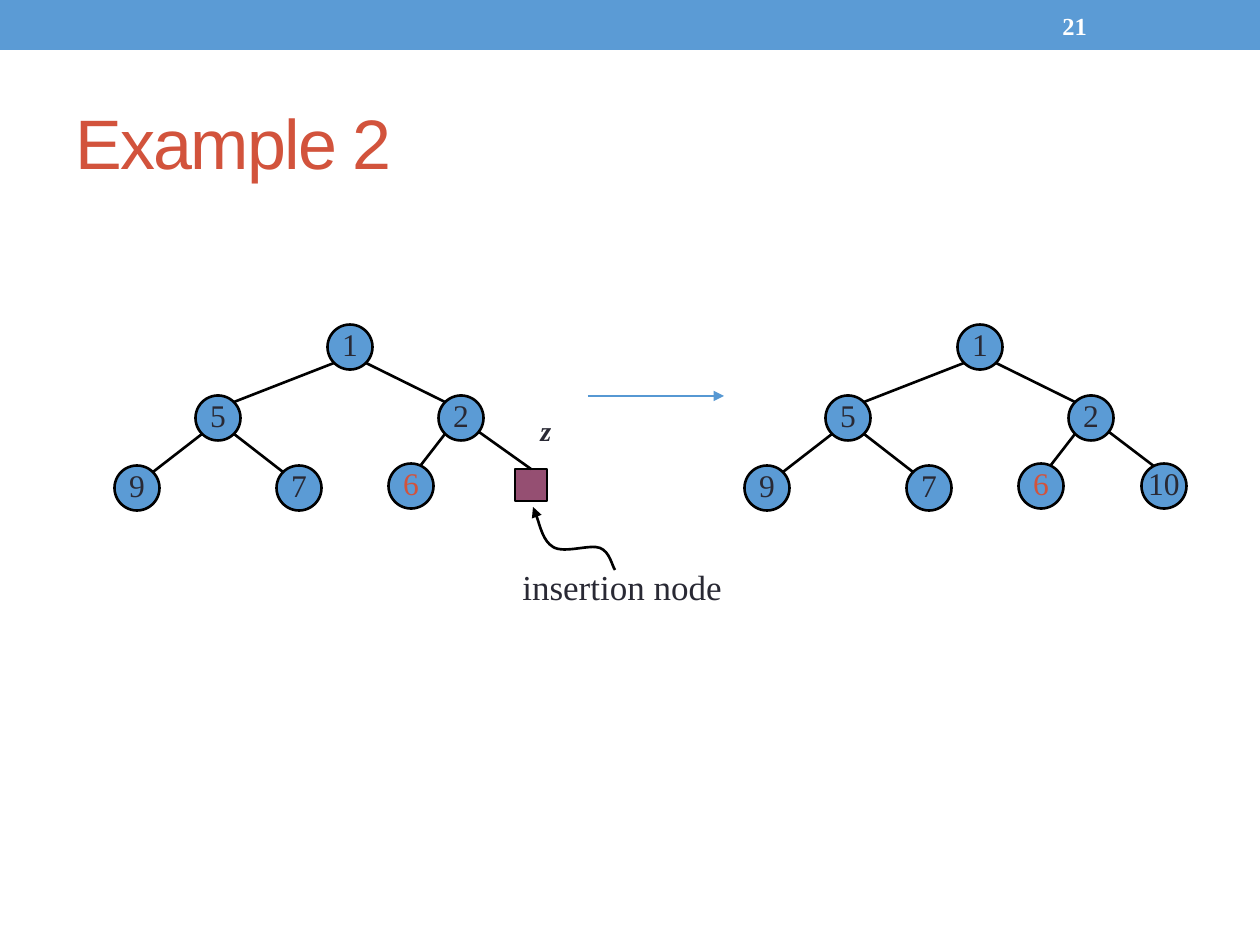
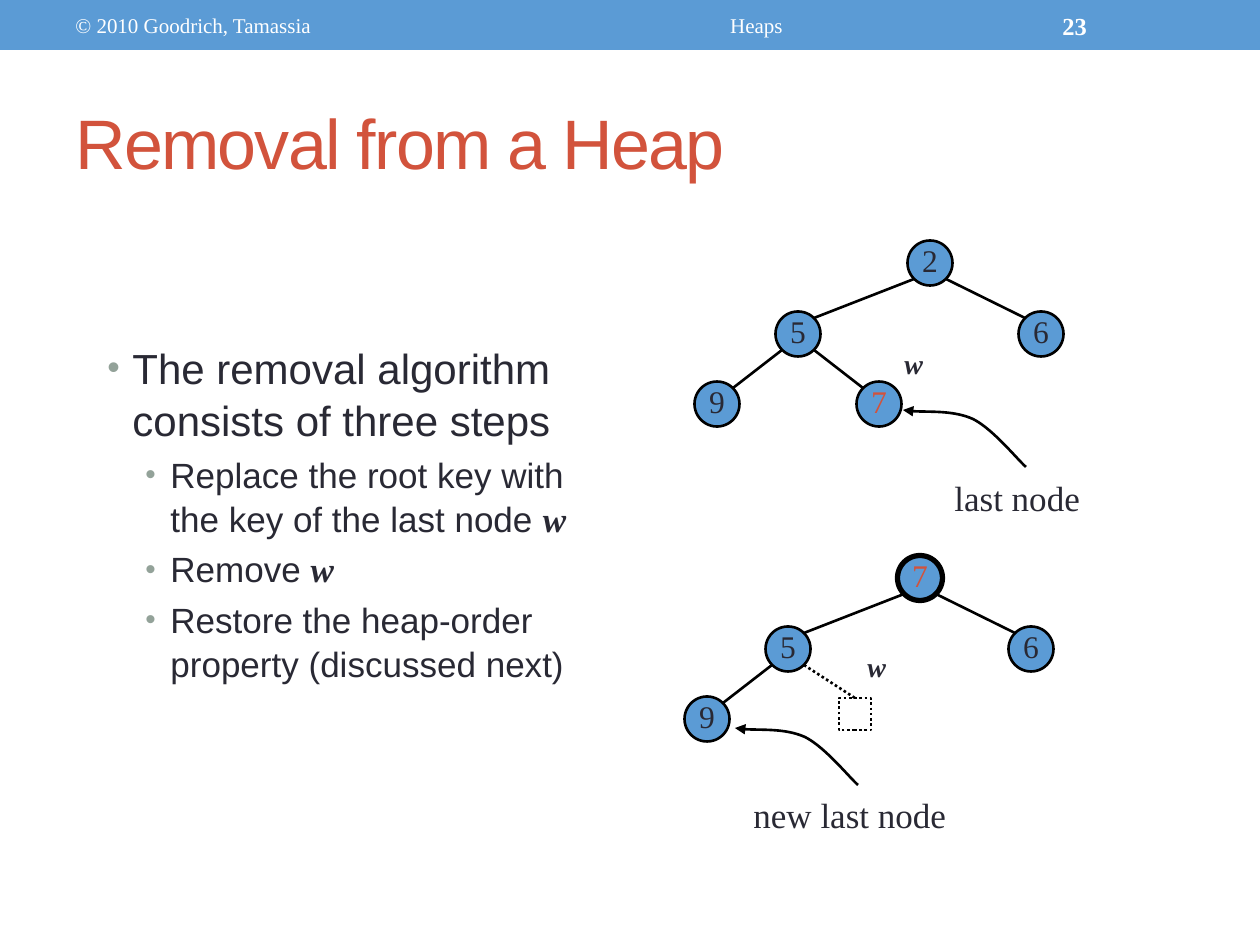
from dataclasses import dataclass

from lxml.etree import SubElement
from pptx import Presentation
from pptx.dml.color import RGBColor
from pptx.enum.dml import MSO_LINE
from pptx.enum.shapes import MSO_CONNECTOR, MSO_SHAPE
from pptx.enum.text import MSO_ANCHOR as Anchor, PP_ALIGN as Align
from pptx.oxml.ns import qn
from pptx.util import Emu, Pt

EMU_PER_PX = 914400 / 126


@dataclass(frozen=True)
class TextStyle:
    """Font, size, colour and weight of one kind of text."""

    size: int
    color: str
    font: str = "Times New Roman"
    bold: bool = False
    italic: bool = False
    tracking: int = 0


class Theme:
    """Colours, line widths and text styles shared by both slides."""

    BLUE, ARROW_BLUE, PLUM = "5B9BD5", "5698D3", "954F72"
    INK, RED, WHITE, BLACK = "292934", "D2533C", "FFFFFF", "000000"
    BULLET = "93A299"
    THIN, LINE, HEAVY = 0.75, 1.5, 3
    TITLE = TextStyle(40, RED, "Arial", tracking=-100)
    FOOTER = TextStyle(12, WHITE)
    NUMBER = TextStyle(14, WHITE, bold=True)
    KEY = TextStyle(18, INK)
    NEW_KEY = TextStyle(18, RED)
    CAPTION = TextStyle(20, INK)
    VARIABLE = TextStyle(16, INK, bold=True, italic=True)
    BODY = (TextStyle(24, INK, "Arial"), TextStyle(20, INK, "Arial"))
    BODY_VARIABLE = TextStyle(20, INK, bold=True, italic=True)
    BODY_SPACE = (4.8, 4)
    BODY_LEADING = 1.04


NODE = 45
LEAF = 32
CORNER = 16
CENTERS = {
    "root": (235, 22),
    "left": (103, 93),
    "right": (346, 93),
    "left.left": (22, 163),
    "left.right": (184, 163),
    "right.left": (296, 161),
    "right.right": (419, 161),
}
EDGES = {
    "left": ("root", (-CORNER, CORNER), (CORNER, -CORNER)),
    "right": ("root", (CORNER, CORNER), (-CORNER, -CORNER)),
    "left.left": ("left", (-CORNER, CORNER), (CORNER, -CORNER)),
    "left.right": ("left", (CORNER, CORNER), (-CORNER, -CORNER)),
    "right.left": ("right", (-CORNER, CORNER), (10, -21)),
    "right.right": ("right", (18, 14), (-5, -CORNER)),
}
S_BEND = [(-3, -4), (-5, -18), (-15, -22), (-25, -26), (-51, -16), (-62, -23),
          (-72, -29), (-78, -55), (-82, -63)]
SWEEP = [(-9, -8), (-33, -38), (-53, -48), (-73, -57), (-110, -54), (-123, -57)]


def px(*lengths):
    """Turn px lengths into EMU."""
    return [Emu(round(length * EMU_PER_PX)) for length in lengths]


def rgb(color):
    """Turn a hex string into a colour."""
    return RGBColor.from_string(color)


def style_run(run, style):
    """Apply a text style to a run."""
    font = run.font
    font.name, font.size = style.font, Pt(style.size)
    font.bold, font.italic = style.bold, style.italic
    font.color.rgb = rgb(style.color)
    if style.tracking:
        run._r.get_or_add_rPr().set("spc", str(style.tracking))


def style_line(shape, color=Theme.BLACK, width=Theme.LINE, dotted=False, arrow=False):
    """Set the outline of a shape or connector."""
    line = shape.line
    line.color.rgb, line.width = rgb(color), Pt(width)
    if dotted:
        line.dash_style = MSO_LINE.ROUND_DOT
    if arrow:
        SubElement(line._get_or_add_ln(), qn("a:tailEnd"), type="triangle")


def add_text(slide, box, text, style, align=Align.LEFT, anchor=Anchor.MIDDLE, wrap=True):
    """Place one styled line of text in a box."""
    frame = slide.shapes.add_textbox(*px(*box)).text_frame
    frame.word_wrap, frame.vertical_anchor = wrap, anchor
    paragraph = frame.paragraphs[0]
    paragraph.text, paragraph.alignment = text, align
    style_run(paragraph.runs[0], style)


def add_label(slide, box, text, style):
    """Place an unwrapped label beside a tree."""
    add_text(slide, box, text, style, anchor=Anchor.TOP, wrap=False)


def add_filled(slide, preset, box, fill):
    """Add a flat preset shape without shadow or outline."""
    shape = slide.shapes.add_shape(preset, *px(*box))
    shape.shadow.inherit = False
    shape.fill.solid()
    shape.fill.fore_color.rgb = rgb(fill)
    shape.line.fill.background()
    return shape


def add_straight(slide, start, end, **line):
    """Draw a flat straight connector."""
    connector = slide.shapes.add_connector(MSO_CONNECTOR.STRAIGHT, *px(*start, *end))
    style_line(connector, **line)
    SubElement(connector._element.spPr, qn("a:effectLst"))
    return connector


def add_pointer(slide, start, bends):
    """Draw a curved arrow through Bezier points given relative to its start."""
    left, top = start
    builder = slide.shapes.build_freeform(left, top, scale=EMU_PER_PX)
    builder.add_line_segments([(left + x, top + y) for x, y in bends], close=False)
    pointer = builder.convert_to_shape()
    pointer.shadow.inherit = False
    pointer.fill.background()
    style_line(pointer, arrow=True)
    outline = next(pointer._element.iter(qn("a:path")))
    segments = outline.findall(qn("a:lnTo"))
    for first in range(0, len(segments), 3):
        curve = SubElement(outline, qn("a:cubicBezTo"))
        for segment in segments[first:first + 3]:
            curve.append(segment[0])
            outline.remove(segment)


def add_node(slide, center, key, style, width):
    """Draw a heap node with its key."""
    x, y = center
    node = add_filled(slide, MSO_SHAPE.OVAL, (x - NODE / 2, y - NODE / 2, NODE, NODE), Theme.BLUE)
    style_line(node, width=width)
    frame = node.text_frame
    frame.margin_left = frame.margin_top = frame.margin_right = 0
    frame.margin_bottom = px(6)[0]
    frame.word_wrap, frame.vertical_anchor = False, Anchor.MIDDLE
    paragraph = frame.paragraphs[0]
    paragraph.text, paragraph.alignment = key, Align.CENTER
    style_run(paragraph.runs[0], style)


def add_leaf(slide, corner, fill, dotted=False):
    """Draw the square that marks an empty place in the heap."""
    leaf = add_filled(slide, MSO_SHAPE.RECTANGLE, (*corner, LEAF, LEAF), fill)
    style_line(leaf, dotted=dotted)
    return leaf


def add_heap(slide, origin, keys, changed, root_width=Theme.LINE, leaves=None, dotted=False):
    """Draw a heap from its keys, with leaf squares in the places named."""
    leaves = leaves or {}
    left, top = origin
    centers = {place: (left + x, top + y) for place, (x, y) in CENTERS.items()}
    for place, (parent, leave, arrive) in EDGES.items():
        if place not in keys and place not in leaves:
            continue
        start, end = [(centers[name][0] + dx, centers[name][1] + dy)
                      for name, (dx, dy) in ((parent, leave), (place, arrive))]
        edge = add_straight(slide, start, end, dotted=dotted and place in leaves)
        if place in leaves:
            edge.end_connect(leaves[place], 0)
    for place, key in keys.items():
        style = Theme.NEW_KEY if place == changed else Theme.KEY
        width = root_width if place == "root" else Theme.LINE
        add_node(slide, centers[place], key, style, width)


def add_bullets(slide, box, items):
    """Write bulleted text; each item is a level, its words and a closing variable."""
    frame = slide.shapes.add_textbox(*px(*box)).text_frame
    frame.word_wrap = True
    for index, (level, words, variable) in enumerate(items):
        paragraph = frame.add_paragraph() if index else frame.paragraphs[0]
        paragraph.text, paragraph.level = words, level
        paragraph.line_spacing = Theme.BODY_LEADING
        paragraph.space_before = Pt(Theme.BODY_SPACE[level])
        style_run(paragraph.runs[0], Theme.BODY[level])
        if variable:
            run = paragraph.add_run()
            run.text = variable
            style_run(run, Theme.BODY_VARIABLE)
        properties = paragraph._p.get_or_add_pPr()
        margin, hanging = px(25 + 38 * level, -25)
        properties.set("marL", str(margin))
        properties.set("indent", str(hanging))
        color = SubElement(properties, qn("a:buClr"))
        SubElement(color, qn("a:srgbClr"), val=Theme.BULLET)
        SubElement(properties, qn("a:buSzPct"), val="85000")
        SubElement(properties, qn("a:buFont"), typeface="Arial")
        SubElement(properties, qn("a:buChar"), char="•")


def add_frame(deck, title, number, credit="", topic=""):
    """Start a slide with its band, footers and title."""
    slide = deck.slides.add_slide(deck.slide_layouts[6])
    add_filled(slide, MSO_SHAPE.RECTANGLE, (0, 0, 1260, 50), Theme.BLUE)
    if credit:
        add_text(slide, (63, 3, 399, 45), credit, Theme.FOOTER)
    if topic:
        add_text(slide, (473, 3, 567, 45), topic, Theme.FOOTER, Align.CENTER)
    add_text(slide, (1050, 3, 147, 45), number, Theme.NUMBER)
    add_text(slide, (63, 73, 1134, 136), title, Theme.TITLE)
    return slide


def add_insertion_slide(deck):
    """Show a heap before and after a key is inserted."""
    slide = add_frame(deck, "Example 2", "21")
    before = {"root": "1", "left": "5", "right": "2",
              "left.left": "9", "left.right": "7", "right.left": "6"}
    after = {**before, "right.right": "10"}
    insertion_leaf = add_leaf(slide, (515, 469), Theme.PLUM)
    add_heap(slide, (115, 325), before, "right.left", leaves={"right.right": insertion_leaf})
    add_heap(slide, (745, 325), after, "right.left")
    add_pointer(slide, (615, 570), S_BEND)
    add_label(slide, (510, 559, 226, 54), "insertion node", Theme.CAPTION)
    add_label(slide, (528, 407, 35, 45), "z", Theme.VARIABLE)
    add_straight(slide, (588, 396), (724, 396),
                 color=Theme.ARROW_BLUE, width=Theme.THIN, arrow=True)


def add_removal_slide(deck):
    """List the removal steps beside the heap before and after them."""
    slide = add_frame(deck, "Removal from a Heap", "23", "© 2010 Goodrich, Tamassia", "Heaps")
    add_bullets(slide, (95, 334, 535, 516), [
        (0, "The removal algorithm consists of three steps", ""),
        (1, "Replace the root key with the key of the last node ", "w"),
        (1, "Remove ", "w"),
        (1, "Restore the heap-order property (discussed next)", ""),
    ])
    shared = {"left": "5", "right": "6", "left.left": "9"}
    add_heap(slide, (695, 241), {"root": "2", **shared, "left.right": "7"}, "left.right")
    removed_leaf = add_leaf(slide, (839, 698), Theme.WHITE, dotted=True)
    add_heap(slide, (685, 556), {"root": "7", **shared}, "root", Theme.HEAVY,
             {"left.right": removed_leaf}, dotted=True)
    for start, caption_box, caption, variable_corner in (
        ((1026, 467), (942, 470, 151, 54), "last node", (892, 340)),
        ((858, 785), (741, 787, 218, 54), "new last node", (855, 643)),
    ):
        add_pointer(slide, start, SWEEP)
        add_label(slide, caption_box, caption, Theme.CAPTION)
        add_label(slide, (*variable_corner, 44, 45), "w", Theme.VARIABLE)


def main():
    """Build and save the deck."""
    deck = Presentation()
    deck.slide_width, deck.slide_height = px(1260, 945)
    add_insertion_slide(deck)
    add_removal_slide(deck)
    deck.save("out.pptx")


if __name__ == "__main__":
    main()
